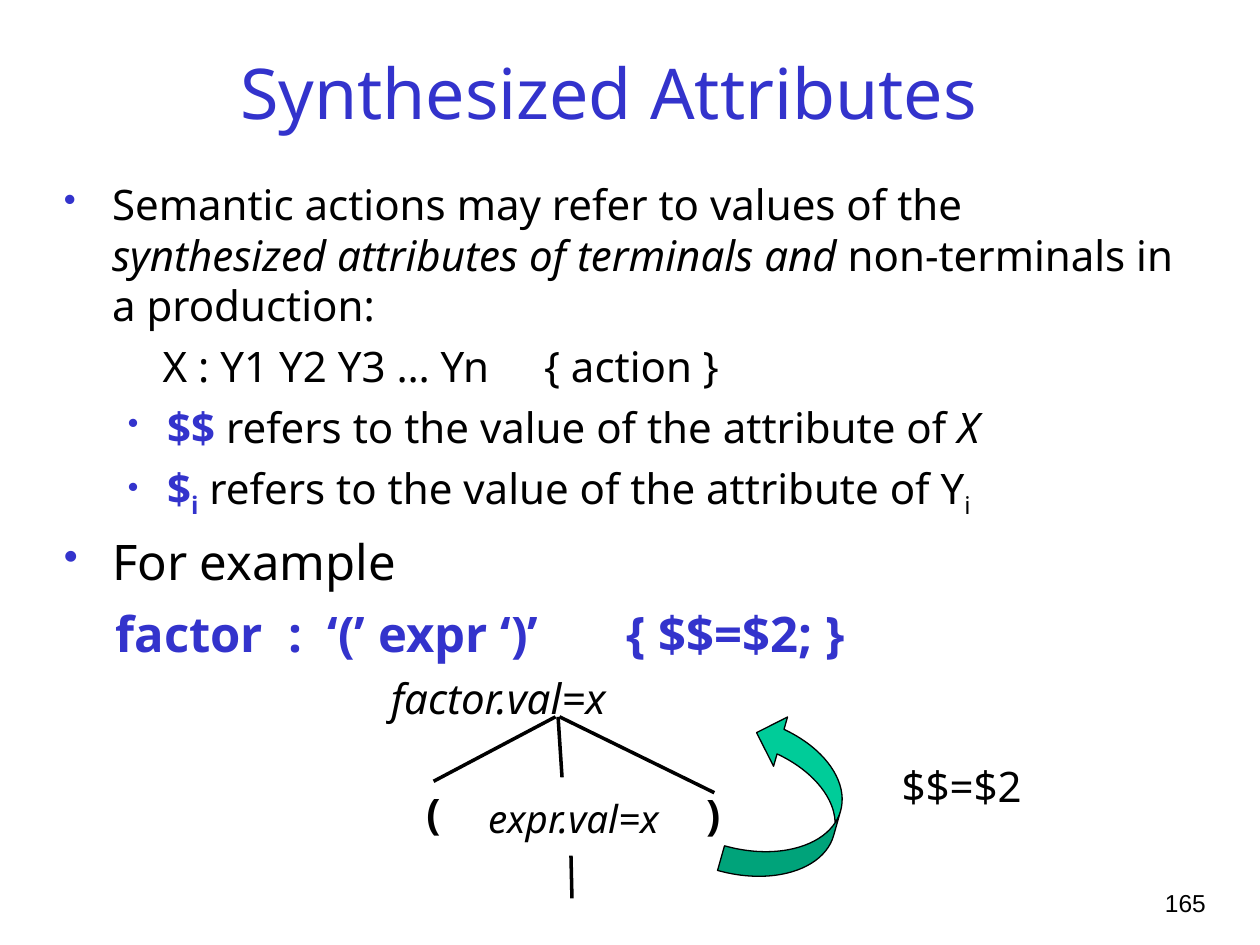
from lxml import etree
from pptx import Presentation
from pptx.dml.color import RGBColor
from pptx.enum.shapes import MSO_CONNECTOR, MSO_SHAPE
from pptx.enum.text import MSO_ANCHOR, PP_ALIGN
from pptx.oxml.ns import qn
from pptx.util import Cm, Pt

BLACK = RGBColor(0, 0, 0)
BLUE = RGBColor(0x33, 0x33, 0xCC)
GREEN = RGBColor(0, 0xCC, 0x99)
FONT = "Noto Sans"
MID, RIGHT = PP_ALIGN.CENTER, PP_ALIGN.RIGHT
MIDDLE = MSO_ANCHOR.MIDDLE
STRAIGHT = MSO_CONNECTOR.STRAIGHT
CURVED = MSO_SHAPE.CURVED_UP_ARROW

TITLE = "Synthesized Attributes"
BODY = [
    dict(size=24, left=0.97, first=-0.97, dot=85, runs=[
        ("Semantic actions may refer to values of the ", ""),
        ("synthesized attributes of terminals and ", "italic"),
        ("non-terminals in a production:", "")]),
    dict(size=24, left=0, first=1.99, tab=9.68, runs=[
        ("X : Y1 Y2 Y3 … Yn\t{ action }", "")]),
    dict(size=24, left=2.08, first=-0.79, dot=75, level=1, runs=[
        ("$$", "bold"), (" refers to the value of the attribute of ", ""),
        ("X", "italic")]),
    dict(size=24, left=2.08, first=-0.79, dot=75, level=1, runs=[
        ("$", "bold"), ("i", "bold sub"),
        (" refers to the value of the attribute of Y", ""), ("i", "sub")]),
    dict(size=28, left=0.97, first=-0.97, dot=85, runs=[
        ("For example", "")]),
    dict(size=28, left=0, first=1.04, tab=11.35, runs=[
        ("factor  :  ‘(’ expr ‘)’\t{ $$=$2; }", "bold")]),
    dict(size=24, left=0, first=6.59, runs=[("factor.val=x", "italic")]),
]
LABELS = [
    ("165", (22.68, 17.78, 1.88, 1.27), 14, "Arial", RIGHT, ""),
    ("(", (7.85, 15.75, 1.78, 1.27), 24, FONT, MID, "bold"),
    ("expr.val=x", (9.3, 15.9, 4.52, 1.19), 22, FONT, MID, "italic"),
    (")", (13.49, 15.77, 1.78, 1.27), 24, FONT, MID, "bold"),
    ("$$=$2", (17.53, 15.21, 3.71, 1.27), 24, FONT, MID, ""),
]
EDGES = [
    (11.2, 14.45, 8.74, 15.75),
    (11.25, 14.45, 11.33, 15.67),
    (11.28, 14.45, 14.4, 15.98),
    (11.51, 17.25, 11.53, 18.11),
]
ARROW = (14.22, 15.16, 3.4, 2.06)


def cms(nums):
    return [Cm(n) for n in nums]


def style(font, size, name, color):
    font.size, font.name = Pt(size), name
    font.color.rgb = color


def mark(font, marks):
    font.bold = "bold" in marks
    font.italic = "italic" in marks


def add_box(slide, at):
    frame = slide.shapes.add_textbox(*cms(at)).text_frame
    frame.word_wrap = True
    return frame


def add_child(node, tag, **attrs):
    child = etree.SubElement(node, qn(tag))
    for key, val in attrs.items():
        child.set(key, str(val))
    return child


def add_item(para, item):
    props = para._p.get_or_add_pPr()
    props.set("marL", str(Cm(item["left"])))
    props.set("indent", str(Cm(item["first"])))
    if "dot" in item:
        tint = add_child(props, "a:buClr")
        add_child(tint, "a:srgbClr", val=BLUE)
        add_child(props, "a:buSzPct", val=item["dot"] * 1000)
        add_child(props, "a:buChar", char="•")
    if "tab" in item:
        props.set("defTabSz", str(Cm(item["tab"])))
    para.level = item.get("level", 0)
    para.space_before = Pt(item["size"] // 4)
    style(para.font, item["size"], FONT, BLACK)
    for text, marks in item["runs"]:
        run = para.add_run()
        run.text = text
        mark(run.font, marks)
        if "bold" in marks:
            run.font.color.rgb = BLUE
        if "sub" in marks:
            run._r.get_or_add_rPr().set("baseline", "-25000")


def add_edge(slide, ends):
    edge = slide.shapes.add_connector(STRAIGHT, *cms(ends))
    edge.line.color.rgb = BLACK
    edge.line.width = Pt(2)
    add_child(edge._element.spPr, "a:effectLst")


def main():
    deck = Presentation()
    deck.slide_width, deck.slide_height = Cm(25.4), Cm(19.05)
    slide = deck.slides.add_slide(deck.slide_layouts[5])

    title = slide.shapes.title
    title.left, title.top, title.width, title.height = cms(
        (1.47, 0.64, 21.59, 2.41))
    title.text_frame.text = TITLE
    title.text_frame.vertical_anchor = MIDDLE
    head = title.text_frame.paragraphs[0]
    head.alignment = MID
    style(head.font, 40, FONT, BLUE)

    frame = add_box(slide, (1.04, 3.48, 22.89, 14.71))
    for num, item in enumerate(BODY):
        para = frame.add_paragraph() if num else frame.paragraphs[0]
        add_item(para, item)

    for ends in EDGES:
        add_edge(slide, ends)

    for text, at, size, name, align, marks in LABELS:
        para = add_box(slide, at).paragraphs[0]
        para.text = text
        para.alignment = align
        style(para.font, size, name, BLACK)
        mark(para.font, marks)

    arrow = slide.shapes.add_shape(CURVED, *cms(ARROW))
    arrow.rotation = 285.8
    arrow.shadow.inherit = False
    arrow.fill.solid()
    arrow.fill.fore_color.rgb = GREEN
    arrow.line.color.rgb = BLACK
    arrow.line.width = Pt(0.75)

    deck.save("out.pptx")


if __name__ == "__main__":
    main()
